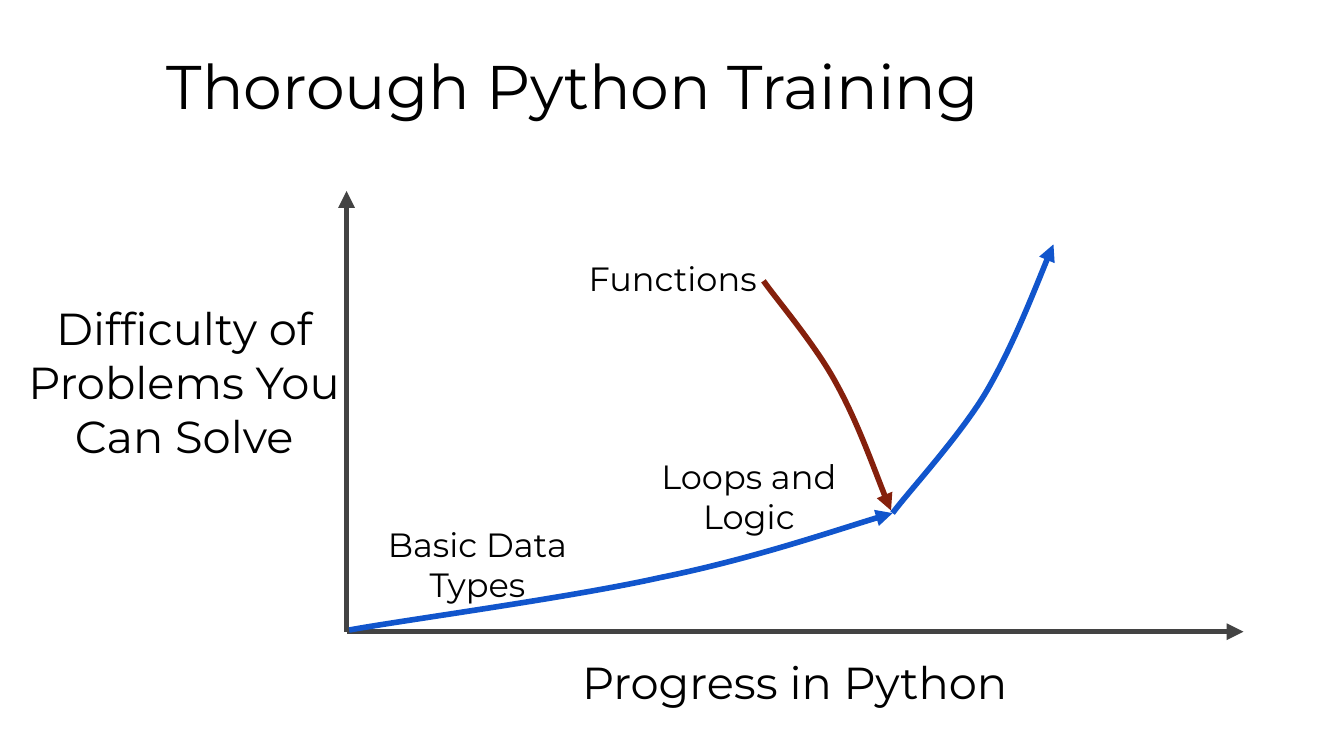
import pptx
import pptx.dml.color
import pptx.enum.shapes
import pptx.enum.text
import pptx.oxml
import pptx.oxml.ns
import pptx.util
from pptx.util import Cm

COLORS = {"text": "000000", "axis": "434343", "progress": "1155CC", "pointer": "85200C"}


class SlideBuilder:
    """Holds the style and the current slide."""

    font = "Montserrat"
    line_width = pptx.util.Pt(3)
    inset = Cm(0.25)

    def __init__(self, slide):
        self.slide = slide

    def color(self, name):
        return pptx.dml.color.RGBColor.from_string(COLORS[name])

    def fill_text(self, shape, text, size, alignment, line_spacing=1.0):
        frame = shape.text_frame
        frame.text = text
        frame.word_wrap = True
        frame.auto_size = pptx.enum.text.MSO_AUTO_SIZE.NONE
        frame.vertical_anchor = pptx.enum.text.MSO_ANCHOR.TOP
        frame.margin_left = frame.margin_right = self.inset
        frame.margin_top = frame.margin_bottom = self.inset
        for paragraph in frame.paragraphs:
            paragraph.alignment = alignment
            paragraph.line_spacing = line_spacing
            for run in paragraph.runs:
                run.font.name = self.font
                run.font.size = pptx.util.Pt(size)
                run.font.color.rgb = self.color("text")

    def title(self, text, left, top, width, height):
        shape = self.slide.shapes.title
        shape.left, shape.top = Cm(left), Cm(top)
        shape.width, shape.height = Cm(width), Cm(height)
        self.fill_text(shape, text, 33, pptx.enum.text.PP_ALIGN.LEFT, 0.9)

    def label(self, text, left, top, width, height, size):
        shape = self.slide.shapes.add_textbox(Cm(left), Cm(top), Cm(width), Cm(height))
        self.fill_text(shape, text, size, pptx.enum.text.PP_ALIGN.CENTER)

    def style_arrow(self, shape, color):
        shape.line.color.rgb = self.color(color)
        shape.line.width = self.line_width
        properties = shape._element.spPr
        line = properties.find(pptx.oxml.ns.qn("a:ln"))
        namespace = pptx.oxml.ns.nsdecls("a")
        line.append(pptx.oxml.parse_xml(f'<a:tailEnd {namespace} type="triangle"/>'))
        if properties.find(pptx.oxml.ns.qn("a:effectLst")) is None:
            properties.append(pptx.oxml.parse_xml(f"<a:effectLst {namespace}/>"))

    def axis(self, start, end):
        straight = pptx.enum.shapes.MSO_CONNECTOR.STRAIGHT
        points = [Cm(value) for value in (*start, *end)]
        connector = self.slide.shapes.add_connector(straight, *points)
        self.style_arrow(connector, "axis")

    def curve(self, points, color):
        """Draw a start point followed by groups of three Bézier points."""
        start, *others = [(Cm(x), Cm(y)) for x, y in points]
        builder = self.slide.shapes.build_freeform(*start)
        builder.add_line_segments(others, close=False)
        shape = builder.convert_to_shape()

        # Turn each three straight segments into one cubic segment
        qn = pptx.oxml.ns.qn
        segments = list(shape._element.iter(qn("a:lnTo")))
        for first, second, third in zip(segments[::3], segments[1::3], segments[2::3]):
            first.tag = qn("a:cubicBezTo")
            for segment in (second, third):
                first.append(segment[0])
                segment.getparent().remove(segment)

        shape.fill.background()
        shape.shadow.inherit = False
        self.style_arrow(shape, color)


def main():
    presentation = pptx.Presentation()
    presentation.slide_width, presentation.slide_height = Cm(25.4), Cm(14.29)
    slide = presentation.slides.add_slide(presentation.slide_layouts[5])
    builder = SlideBuilder(slide)

    builder.title("Thorough Python Training", 2.9, 0.81, 21.64, 1.6)

    # Axes and their names
    origin = (6.55, 11.94)
    builder.axis(origin, (origin[0], 3.61))
    builder.axis(origin, (23.5, origin[1]))
    builder.label("Progress in Python", 9.32, 12.12, 11.4, 1.22, 24)

    # Learning curve in two stages, and the pointer to where they meet
    turning_point = (16.87, 9.7)
    builder.curve(
        [(6.6, 11.91), (7.57, 11.73), (10.77, 11.3), (12.47, 10.92),
         (14.2, 10.57), (16.13, 9.91), turning_point],
        "progress",
    )
    builder.curve(
        [turning_point, (17.15, 9.32), (18.11, 8.28), (18.62, 7.44),
         (19.13, 6.58), (19.71, 5.08), (19.91, 4.62)],
        "progress",
    )
    builder.curve(
        [(14.43, 5.31), (14.66, 5.64), (15.42, 6.53), (15.8, 7.24),
         (16.21, 7.98), (16.66, 9.25), (16.84, 9.65)],
        "pointer",
    )
    builder.label("Difficulty of Problems You Can Solve", 0.18, 5.44, 6.6, 1.22, 24)

    # Topics along the curve
    for text, left, top in (
        ("Functions", 10.29, 4.62),
        ("Basic Data Types", 6.6, 9.65),
        ("Loops and\nLogic", 11.73, 8.36),
    ):
        builder.label(text, left, top, 4.85, 1.07, 18)

    presentation.save("out.pptx")


if __name__ == "__main__":
    main()
